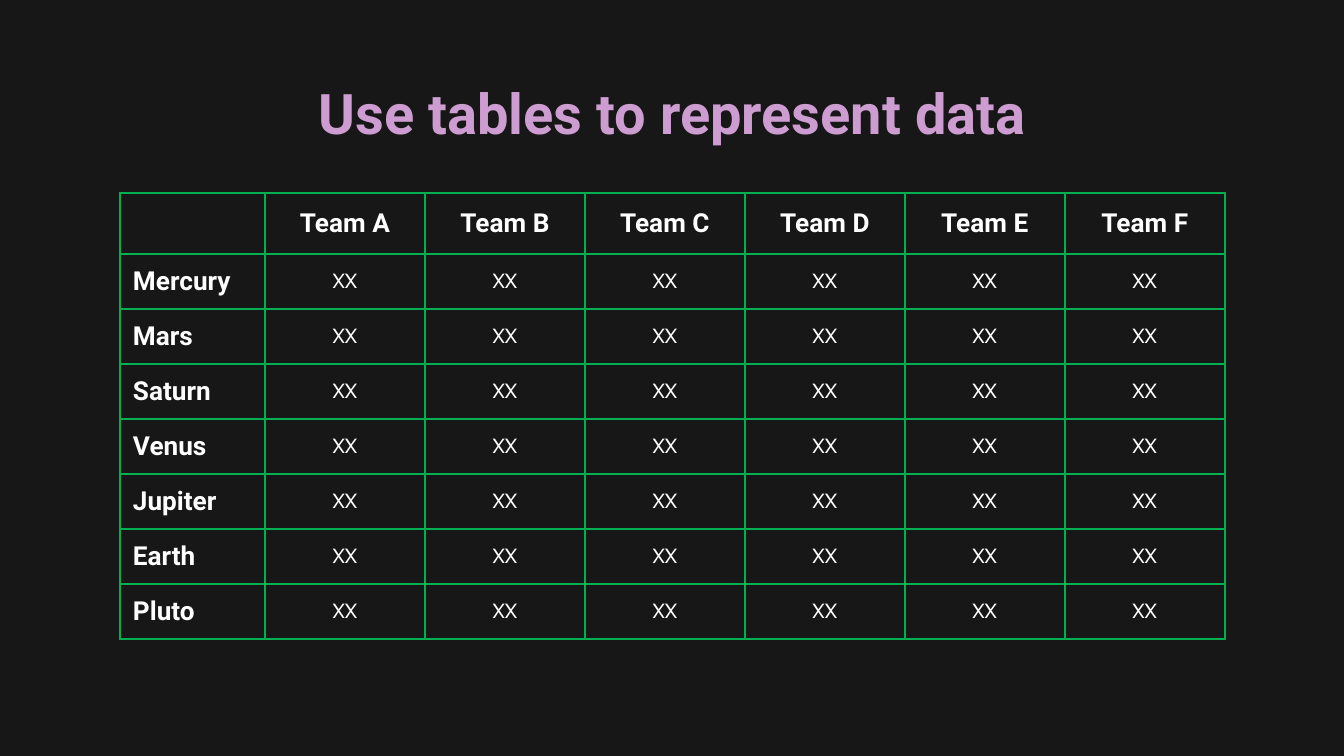
from pptx import Presentation
from pptx.dml.color import RGBColor
from pptx.enum.text import MSO_ANCHOR, PP_ALIGN
from pptx.oxml import parse_xml
from pptx.oxml.ns import nsdecls
from pptx.util import Emu, Pt

EMU_PER_INCH = 914400
PX_PER_INCH = 134.4

BACKGROUND = RGBColor(0x17, 0x17, 0x17)
WHITE = RGBColor(0xFF, 0xFF, 0xFF)
GREEN = RGBColor(0x00, 0xB0, 0x50)
PINK = RGBColor(0xCD, 0x9C, 0xD0)
BLUE = RGBColor(0x9C, 0xCA, 0xED)

TEAMS = ["Team A", "Team B", "Team C", "Team D", "Team E", "Team F"]
PLANETS = ["Mercury", "Mars", "Saturn", "Venus", "Jupiter", "Earth", "Pluto"]
PLACEHOLDER_VALUE = "XX"

PLANET_WIDTH = 145
TEAM_WIDTH = 160
ROW_HEIGHT = 55
BORDER_WIDTH = Pt(1.5)


def px(length):
    return Emu(round(length * EMU_PER_INCH / PX_PER_INCH))


def write(frame, text, size=14, font="Roboto", bold=True,
          color=WHITE, gradient=None, align=PP_ALIGN.CENTER):
    paragraph = frame.paragraphs[0]
    paragraph.alignment = align
    run = paragraph.add_run()
    run.text = text
    run.font.size = Pt(size)
    run.font.name = font
    run.font.bold = bold
    if gradient:
        run.font.fill.gradient()
        run.font.fill.gradient_angle = 0
        for stop, stop_color in zip(run.font.fill.gradient_stops, gradient):
            stop.color.rgb = stop_color
    else:
        run.font.color.rgb = color


def add_title(slide, text):
    title = slide.shapes.title
    title.left, title.top = px(106), px(66)
    title.width, title.height = px(1133), px(85)
    frame = title.text_frame
    frame.word_wrap = True
    frame.vertical_anchor = MSO_ANCHOR.TOP
    frame.margin_left = frame.margin_right = px(13)
    frame.margin_top = frame.margin_bottom = px(13)
    write(frame, text, size=30, gradient=(PINK, BLUE))


def outline_cell(cell):
    properties = cell._tc.get_or_add_tcPr()
    for position, side in enumerate(("lnL", "lnR", "lnT", "lnB")):
        border = parse_xml(
            f'<a:{side} {nsdecls("a")} w="{BORDER_WIDTH}"><a:solidFill>'
            f'<a:srgbClr val="{GREEN}"/></a:solidFill></a:{side}>'
        )
        properties.insert(position, border)


def format_cell(cell, side_inset, end_inset):
    cell.fill.background()
    cell.vertical_anchor = MSO_ANCHOR.MIDDLE
    cell.margin_left = cell.margin_right = px(side_inset)
    cell.margin_top = cell.margin_bottom = px(end_inset)
    outline_cell(cell)


def add_team_table(slide):
    row_count, column_count = len(PLANETS) + 1, len(TEAMS) + 1
    table = slide.shapes.add_table(
        row_count, column_count, px(120), px(193),
        px(PLANET_WIDTH + len(TEAMS) * TEAM_WIDTH), px(row_count * ROW_HEIGHT),
    ).table
    table.first_row = False
    table.horz_banding = False
    for index, column in enumerate(table.columns):
        column.width = px(TEAM_WIDTH if index else PLANET_WIDTH)
    for row in table.rows:
        row.height = px(ROW_HEIGHT)

    format_cell(table.cell(0, 0), 13, 10)
    for column, team in enumerate(TEAMS, start=1):
        header = table.cell(0, column)
        format_cell(header, 13, 10)
        write(header.text_frame, team)
    for row, planet in enumerate(PLANETS, start=1):
        label = table.cell(row, 0)
        format_cell(label, 13, 0)
        write(label.text_frame, planet, align=PP_ALIGN.LEFT)
        for column in range(1, column_count):
            value = table.cell(row, column)
            format_cell(value, 0, 0)
            write(value.text_frame, PLACEHOLDER_VALUE,
                  size=11, font="Cabin", bold=False)


def main():
    presentation = Presentation()
    presentation.slide_width = px(1344)
    presentation.slide_height = px(756)
    slide = presentation.slides.add_slide(presentation.slide_layouts[5])
    slide.background.fill.solid()
    slide.background.fill.fore_color.rgb = BACKGROUND
    add_title(slide, "Use tables to represent data")
    add_team_table(slide)
    presentation.save("out.pptx")


if __name__ == "__main__":
    main()
